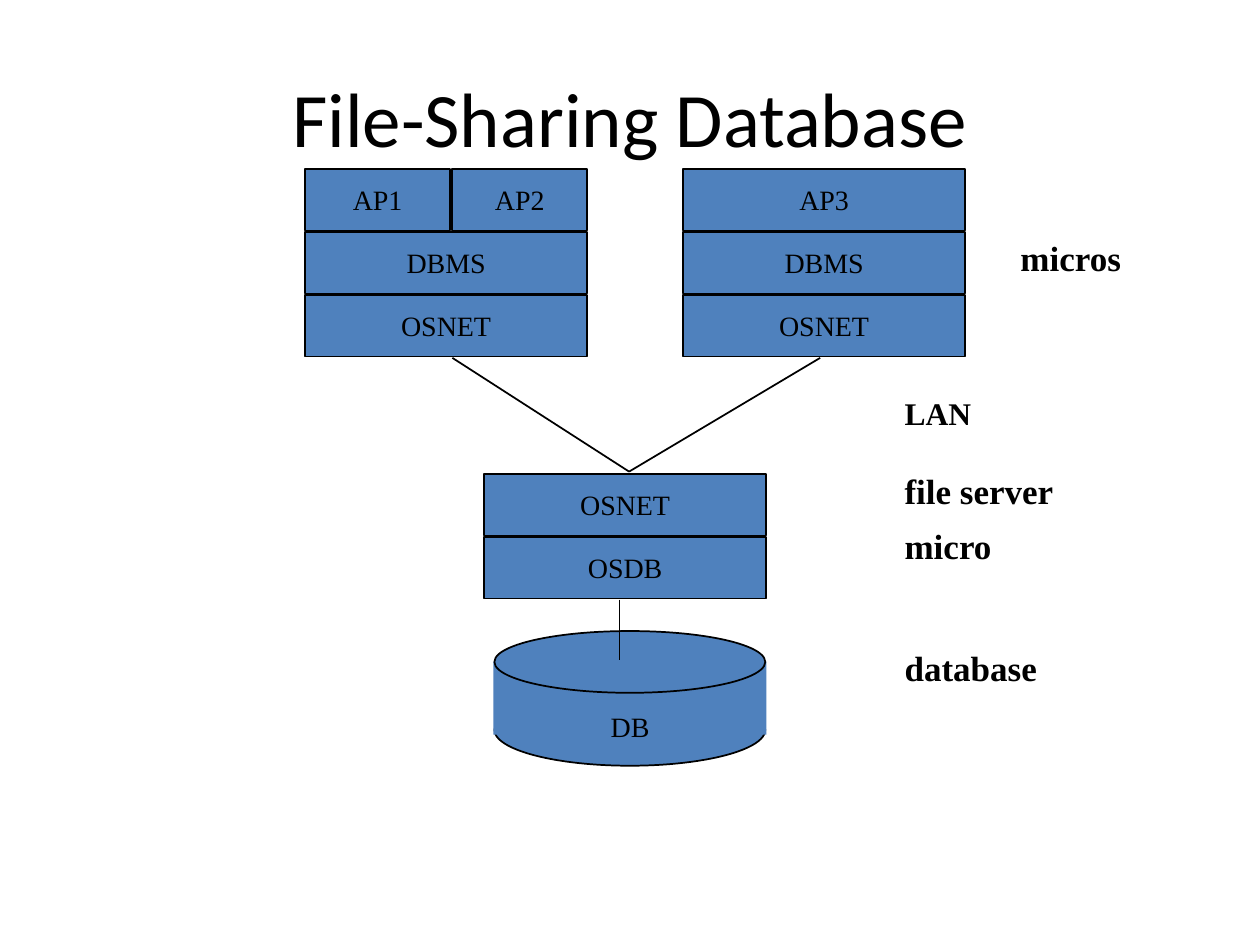
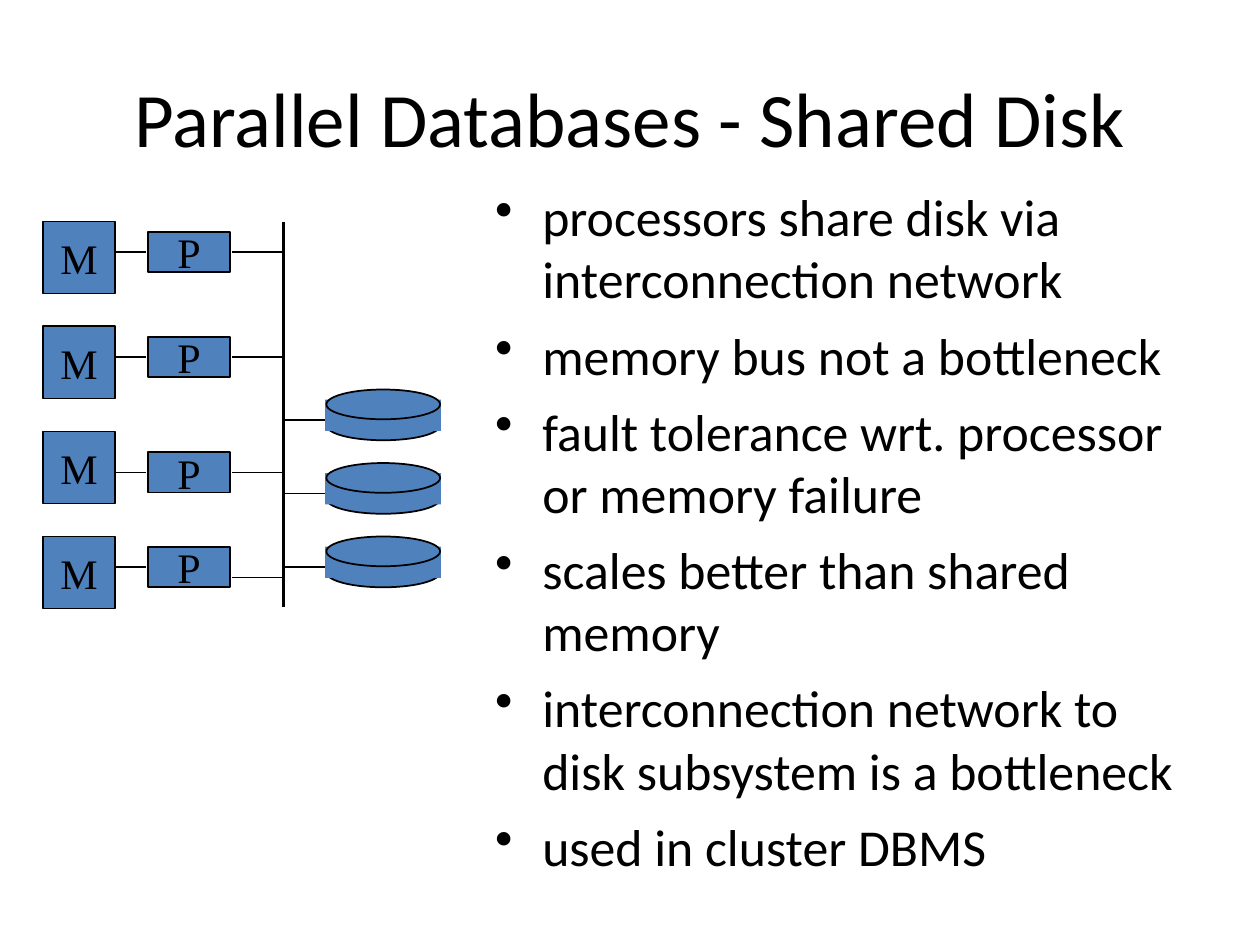
from dataclasses import dataclass
from typing import Optional

from lxml.etree import SubElement
from pptx import Presentation
from pptx.dml.color import RGBColor
from pptx.enum.shapes import MSO_CONNECTOR as Connector, MSO_SHAPE as Preset
from pptx.enum.text import MSO_ANCHOR as Anchor, PP_ALIGN as Align
from pptx.oxml.ns import qn
from pptx.util import Pt

COLORS = {"text": "000000", "line": "000000", "block": "4F81BD", "page": "FFFFFF"}
TITLE_FONT = "Calibri"
DIAGRAM_FONT = "Times New Roman"


@dataclass(frozen=True)
class Box:
    left: float
    top: float
    width: float
    height: float
    text: str = ""
    size: float = 16


@dataclass(frozen=True)
class Cylinder:
    """Two ellipses, with a plain band between them."""
    top_face: Box
    band: Box
    bottom_face: Box


@dataclass(frozen=True)
class Label:
    left: float
    top: float
    width: float
    height: float
    lines: tuple[str, ...]
    size: float = 20
    gap: float = 0
    line_spacing: Optional[float] = None


# Shared drawing functions

def color(name: str) -> RGBColor:
    return RGBColor.from_string(COLORS[name])


def write_text(frame, lines, *, size: float, font: str = DIAGRAM_FONT, bold: bool = False,
               align=Align.LEFT, anchor=Anchor.TOP, wrap: bool = True, gap: float = 0,
               line_spacing: Optional[float] = None, bullet: str = "", indent: float = 0) -> None:
    frame.word_wrap = wrap
    frame.vertical_anchor = anchor
    for index, line in enumerate(lines):
        paragraph = frame.add_paragraph() if index else frame.paragraphs[0]
        if bullet:
            properties = paragraph._p.get_or_add_pPr()
            properties.set("marL", str(Pt(indent)))
            properties.set("indent", str(-Pt(indent)))
            bullet_color = SubElement(properties, qn("a:buClr"))
            SubElement(bullet_color, qn("a:srgbClr"), val=COLORS["text"])
            SubElement(properties, qn("a:buChar"), char=bullet)
        paragraph.alignment = align
        if index:
            paragraph.space_before = Pt(gap)
        if line_spacing:
            paragraph.line_spacing = line_spacing
        run = paragraph.add_run()
        run.text = line
        run.font.name = font
        run.font.size = Pt(size)
        run.font.bold = bold
        run.font.color.rgb = color("text")


def add_block(slide, box: Box, preset=Preset.RECTANGLE, outlined: bool = True) -> None:
    shape = slide.shapes.add_shape(preset, Pt(box.left), Pt(box.top), Pt(box.width), Pt(box.height))
    shape.shadow.inherit = False
    shape.fill.solid()
    shape.fill.fore_color.rgb = color("block")
    if outlined:
        shape.line.color.rgb = color("line")
        shape.line.width = Pt(1)
    else:
        shape.line.fill.background()
    if box.text:
        write_text(shape.text_frame, [box.text], size=box.size, align=Align.CENTER,
                   anchor=Anchor.MIDDLE, wrap=False)


def add_cylinder(slide, cylinder: Cylinder) -> None:
    add_block(slide, cylinder.bottom_face, Preset.OVAL)
    add_block(slide, cylinder.band, outlined=False)
    add_block(slide, cylinder.top_face, Preset.OVAL)


def add_line(slide, x1: float, y1: float, x2: float, y2: float, width: float = 1) -> None:
    connector = slide.shapes.add_connector(Connector.STRAIGHT, Pt(x1), Pt(y1), Pt(x2), Pt(y2))
    connector.line.color.rgb = color("line")
    connector.line.width = Pt(width)
    SubElement(connector._element.spPr, qn("a:effectLst"))


def add_text_box(slide, left: float, top: float, width: float, height: float, lines, **text_format) -> None:
    shape = slide.shapes.add_textbox(Pt(left), Pt(top), Pt(width), Pt(height))
    write_text(shape.text_frame, lines, **text_format)


def add_titled_slide(presentation, title: str):
    slide = presentation.slides.add_slide(presentation.slide_layouts[5])
    slide.background.fill.solid()
    slide.background.fill.fore_color.rgb = color("page")
    shape = slide.shapes.title
    shape.left, shape.top, shape.width, shape.height = Pt(36), Pt(21.6), Pt(648), Pt(90)
    write_text(shape.text_frame, [title], size=44, font=TITLE_FONT, align=Align.CENTER,
               anchor=Anchor.MIDDLE)
    return slide


# File-sharing database

STACK_WIDTH, LAYER_HEIGHT, LAYER_STEP = 161.3, 35.3, 36
MICROS_TOP, SERVER_TOP = 96.5, 270.7
MICRO_LEFTS = (174.3, 390.3)
SERVER_LEFT = 276.6

APPLICATIONS = (
    Box(MICRO_LEFTS[0], MICROS_TOP, 83, LAYER_HEIGHT, "AP1"),
    Box(258.5, MICROS_TOP, 77.1, LAYER_HEIGHT, "AP2"),
    Box(MICRO_LEFTS[1], MICROS_TOP, STACK_WIDTH, LAYER_HEIGHT, "AP3"),
)
DATABASE = Cylinder(
    top_face=Box(282.5, 360.6, 154.8, 35.3),
    band=Box(282, 378, 156, 41.8),
    bottom_face=Box(282.5, 396.6, 154.8, 41),
)
LABELS = (
    Label(576, 131.8, 96.5, 31, ("micros",)),
    Label(509.8, 221.8, 150.5, 28.8, ("LAN",), size=18),
    Label(509.8, 269.3, 144.7, 57.6, ("file server", "micro"), gap=12.5, line_spacing=0.8),
    Label(509.8, 365.8, 144.7, 31, ("database",)),
)


def add_stack(slide, left: float, top: float, layers: tuple[str, ...]) -> None:
    for row, text in enumerate(layers):
        add_block(slide, Box(left, top + row * LAYER_STEP, STACK_WIDTH, LAYER_HEIGHT, text))


def build_file_sharing(presentation) -> None:
    slide = add_titled_slide(presentation, "File-Sharing Database")

    # Micros and the file server
    for application in APPLICATIONS:
        add_block(slide, application)
    for left in MICRO_LEFTS:
        add_stack(slide, left, MICROS_TOP + LAYER_STEP, ("DBMS", "OSNET"))
    add_stack(slide, SERVER_LEFT, SERVER_TOP, ("OSNET", "OSDB"))

    # Database and connections
    add_cylinder(slide, DATABASE)
    add_text_box(slide, 335.5, 401.8, 49, 26, ["DB"], size=16, align=Align.CENTER)
    add_line(slide, 354, 342.7, 354, 377.3)
    for micro_x in (258.5, 468.7):
        add_line(slide, micro_x, 204.5, 359.5, 269.5)

    # Labels on the right
    for label in LABELS:
        add_text_box(slide, label.left, label.top, label.width, label.height, label.lines,
                     size=label.size, bold=True, gap=label.gap, line_spacing=label.line_spacing)


# Parallel databases with a shared disk

BUS_X = 162
MEMORY_TOP, MEMORY_STEP, MEMORY_SIDE = 126.5, 60, 41.3
PROCESSOR_LEFT, PROCESSOR_WIDTH, PROCESSOR_HEIGHT = 84.5, 47, 23
PROCESSOR_CENTERS = (144, 204, 270, 324)
BUS_WIRE_YS = (144, 204, 270, 330)
DISK_COUNT, DISK_TOP, DISK_STEP = 3, 222.6, 42
BULLETS = (
    "processors share disk via interconnection network",
    "memory bus not a bottleneck",
    "fault tolerance wrt. processor or memory failure",
    "scales better than shared memory",
    "interconnection network to disk subsystem is a bottleneck",
    "used in cluster DBMS",
)


def disk_at(top: float) -> Cylinder:
    return Cylinder(
        top_face=Box(186.5, top, 65, 17),
        band=Box(185.8, top + 5.7, 66.2, 18),
        bottom_face=Box(186.5, top + 12, 65, 17),
    )


def build_shared_disk(presentation) -> None:
    slide = add_titled_slide(presentation, "Parallel Databases - Shared Disk")
    add_text_box(slide, 275.8, 102.2, 419.8, 414, BULLETS, size=29.6, font=TITLE_FONT,
                 gap=8, bullet="•", indent=27)

    # Memory and processor rows, wired to the bus
    add_line(slide, BUS_X, 126.7, BUS_X, 347, width=2)
    for row, (center, wire_y) in enumerate(zip(PROCESSOR_CENTERS, BUS_WIRE_YS)):
        add_block(slide, Box(24.5, MEMORY_TOP + row * MEMORY_STEP, MEMORY_SIDE, MEMORY_SIDE, "M", 24))
        add_block(slide, Box(PROCESSOR_LEFT, center - PROCESSOR_HEIGHT / 2,
                             PROCESSOR_WIDTH, PROCESSOR_HEIGHT, "P", 24))
        add_line(slide, 66.5, center, 83.5, center)
        add_line(slide, 132.5, wire_y, 161.3, wire_y)

    # Shared disks
    for index in range(DISK_COUNT):
        offset = index * DISK_STEP
        add_cylinder(slide, disk_at(DISK_TOP + offset))
        add_line(slide, 162.7, 240 + offset, 185.8, 240 + offset)


def main() -> None:
    presentation = Presentation()
    presentation.slide_width, presentation.slide_height = Pt(720), Pt(540)
    build_file_sharing(presentation)
    build_shared_disk(presentation)
    presentation.save("out.pptx")


if __name__ == "__main__":
    main()
